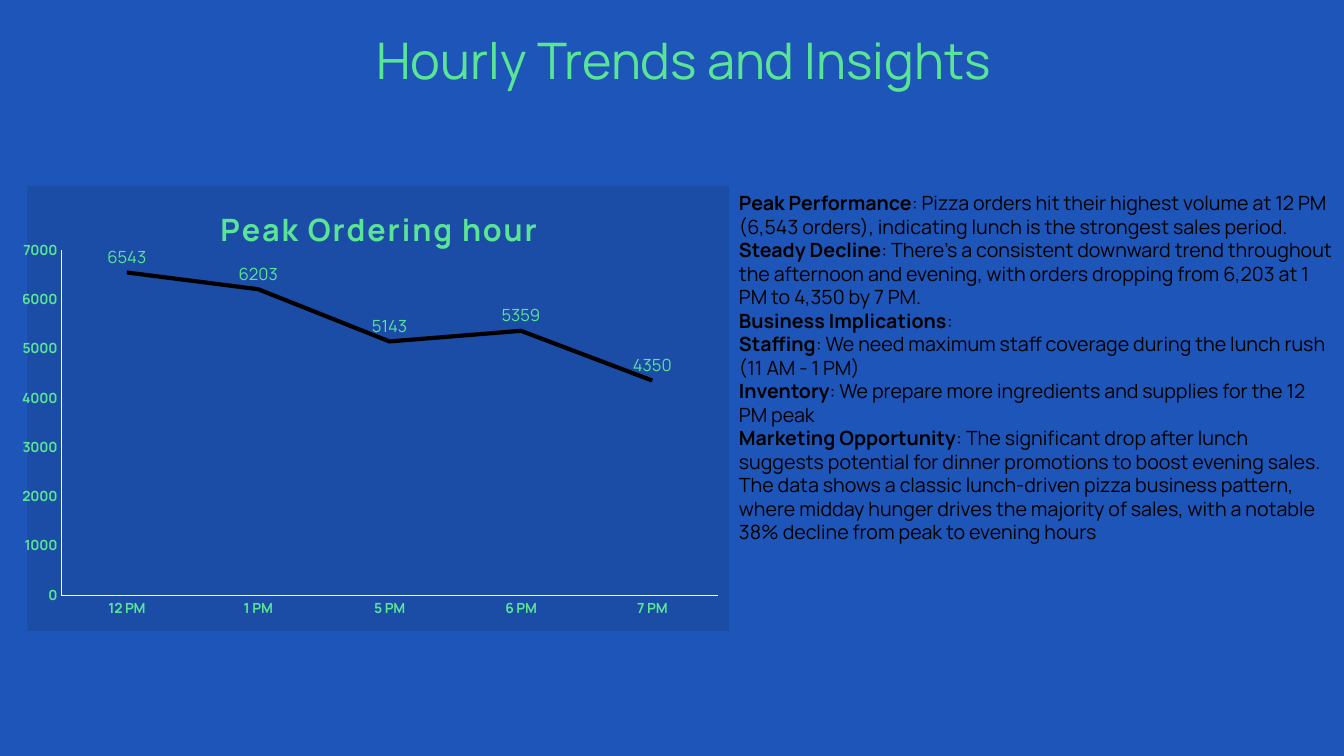
from lxml import etree
from pptx import Presentation
from pptx.chart.data import CategoryChartData
from pptx.dml.color import RGBColor
from pptx.enum.chart import XL_CHART_TYPE as ChartType
from pptx.enum.chart import XL_LABEL_POSITION as LabelPosition
from pptx.enum.chart import XL_MARKER_STYLE as Marker
from pptx.enum.chart import XL_TICK_MARK as TickMark
from pptx.enum.text import MSO_ANCHOR as Anchor
from pptx.enum.text import PP_ALIGN as Align
from pptx.oxml import parse_xml
from pptx.oxml.ns import nsdecls, qn
from pptx.util import Emu, Pt

BLUE = RGBColor(0x1E, 0x55, 0xB8)
PANEL = RGBColor(0x1B, 0x4C, 0xA6)
GREEN = RGBColor(0x5A, 0xE4, 0x95)
WHITE = RGBColor(0xFF, 0xFF, 0xFF)
BLACK = RGBColor(0x00, 0x00, 0x00)
FONT = "Manrope"
WIDTH, HEIGHT = 1344, 756
CHART_WIDTH, CHART_HEIGHT = 707, 445

ORDERS = {"12 PM": 6543, "1 PM": 6203, "5 PM": 5143, "6 PM": 5359, "7 PM": 4350}
INSIGHTS = [
    ("Peak Performance", ": Pizza orders hit their highest volume at 12 PM (6,543 orders), "
     "indicating lunch is the strongest sales period."),
    ("Steady Decline", ": There's a consistent downward trend throughout the afternoon and "
     "evening, with orders dropping from 6,203 at 1 PM to 4,350 by 7 PM."),
    ("Business Implications", ":"),
    ("Staffing", ": We need maximum staff coverage during the lunch rush (11 AM - 1 PM)"),
    ("Inventory", ": We prepare more ingredients and supplies for the 12 PM peak"),
    ("Marketing Opportunity", ": The significant drop after lunch suggests potential for "
     "dinner promotions to boost evening sales."),
    ("", "The data shows a classic lunch-driven pizza business pattern, where midday hunger "
     "drives the majority of sales, with a notable 38% decline from peak to evening hours"),
]


def px(length):
    return Emu(round(length * 12192000 / WIDTH))


def style_font(font, size, color, bold=False):
    font.name = FONT
    font.size = Pt(size)
    font.bold = bold
    font.color.rgb = color


def place(part, index, **lengths):
    """Give a chart part a manual layout, with x, y, w and h in px inside the chart."""
    layout = part.find(qn("c:layout"))
    if layout is not None:
        part.remove(layout)
    layout = parse_xml(f"<c:layout {nsdecls('c')}><c:manualLayout/></c:layout>")
    settings = {"layoutTarget": "inner"} if "w" in lengths else {}
    settings.update(xMode="edge", yMode="edge")
    for name, length in lengths.items():
        settings[name] = length / (CHART_WIDTH if name in "xw" else CHART_HEIGHT)
    for name, value in settings.items():
        etree.SubElement(layout[0], qn(f"c:{name}")).set("val", str(value))
    part.insert(index, layout)


class TrendSlide:
    def __init__(self, deck):
        self.slide = deck.slides.add_slide(deck.slide_layouts[6])
        background = self.slide.background.fill
        background.solid()
        background.fore_color.rgb = BLUE

    def text(self, paragraphs, left, top, width, height, *, size, color,
             align=Align.LEFT, anchor=Anchor.TOP, inset=None):
        """Add a text box; each paragraph is a pair of bold lead and plain text."""
        frame = self.slide.shapes.add_textbox(*map(px, (left, top, width, height))).text_frame
        frame.word_wrap = True
        frame.vertical_anchor = anchor
        if inset is not None:
            frame.margin_left = frame.margin_right = px(inset)
            frame.margin_top = frame.margin_bottom = px(inset)
        for number, (lead, body) in enumerate(paragraphs):
            paragraph = frame.add_paragraph() if number else frame.paragraphs[0]
            paragraph.alignment = align
            for words, bold in ((lead, True), (body, False)):
                if words:
                    run = paragraph.add_run()
                    run.text = words
                    style_font(run.font, size, color, bold)

    def line_chart(self, title, values, left, top):
        data = CategoryChartData()
        data.categories = list(values)
        data.add_series("Series 1", list(values.values()))
        chart = self.slide.shapes.add_chart(
            ChartType.LINE, *map(px, (left, top, CHART_WIDTH, CHART_HEIGHT)), data).chart
        style_font(chart.font, 10, WHITE)
        chart.has_legend = False
        self.chart_panel(chart)
        self.chart_title(chart, title)
        self.axis(chart.category_axis)
        self.axis(chart.value_axis)
        chart.value_axis.minimum_scale = 0
        chart.value_axis.maximum_scale = 7000
        chart.value_axis.major_unit = 1000

        plot = chart.plots[0]
        plot.vary_by_categories = False
        plot.has_data_labels = True
        labels = plot.data_labels
        labels.show_value = True
        labels.position = LabelPosition.ABOVE
        style_font(labels.font, 12, GREEN)
        orders = plot.series[0]
        orders.smooth = False
        orders.marker.style = Marker.NONE
        orders.format.line.color.rgb = BLACK
        orders.format.line.width = Pt(3)

    def chart_panel(self, chart):
        body = chart.element.find(qn("c:chart"))
        body.addnext(parse_xml(
            f"<c:spPr {nsdecls('c', 'a')}><a:solidFill><a:srgbClr val='{PANEL}'/></a:solidFill>"
            "<a:ln><a:noFill/></a:ln></c:spPr>"))
        place(body.find(qn("c:plotArea")), 0, x=34, y=64, w=662, h=345)

    def chart_title(self, chart, title):
        chart.has_title = True
        run = chart.chart_title.text_frame.paragraphs[0].add_run()
        run.text = title
        style_font(run.font, 22, GREEN, bold=True)
        run._r.get_or_add_rPr().set("spc", "150")
        chart.chart_title.include_in_layout = False
        place(chart.element.find(qn("c:chart")).find(qn("c:title")), 1, x=189, y=14)

    def axis(self, axis):
        axis.has_major_gridlines = False
        axis.major_tick_mark = axis.minor_tick_mark = TickMark.NONE
        axis.format.line.color.rgb = WHITE
        axis.format.line.width = Pt(0.25)
        style_font(axis.tick_labels.font, 10, GREEN, bold=True)


def main():
    deck = Presentation()
    deck.slide_width, deck.slide_height = px(WIDTH), px(HEIGHT)
    trends = TrendSlide(deck)
    trends.text([("", "Hourly Trends and Insights")], 39, 14, 1290, 91, size=36, color=GREEN,
                align=Align.CENTER, anchor=Anchor.MIDDLE, inset=0)
    trends.line_chart("Peak Ordering hour", ORDERS, 22, 186)
    trends.text(INSIGHTS, 729, 186, 615, 462, size=14, color=BLACK)
    deck.save("out.pptx")


if __name__ == "__main__":
    main()
